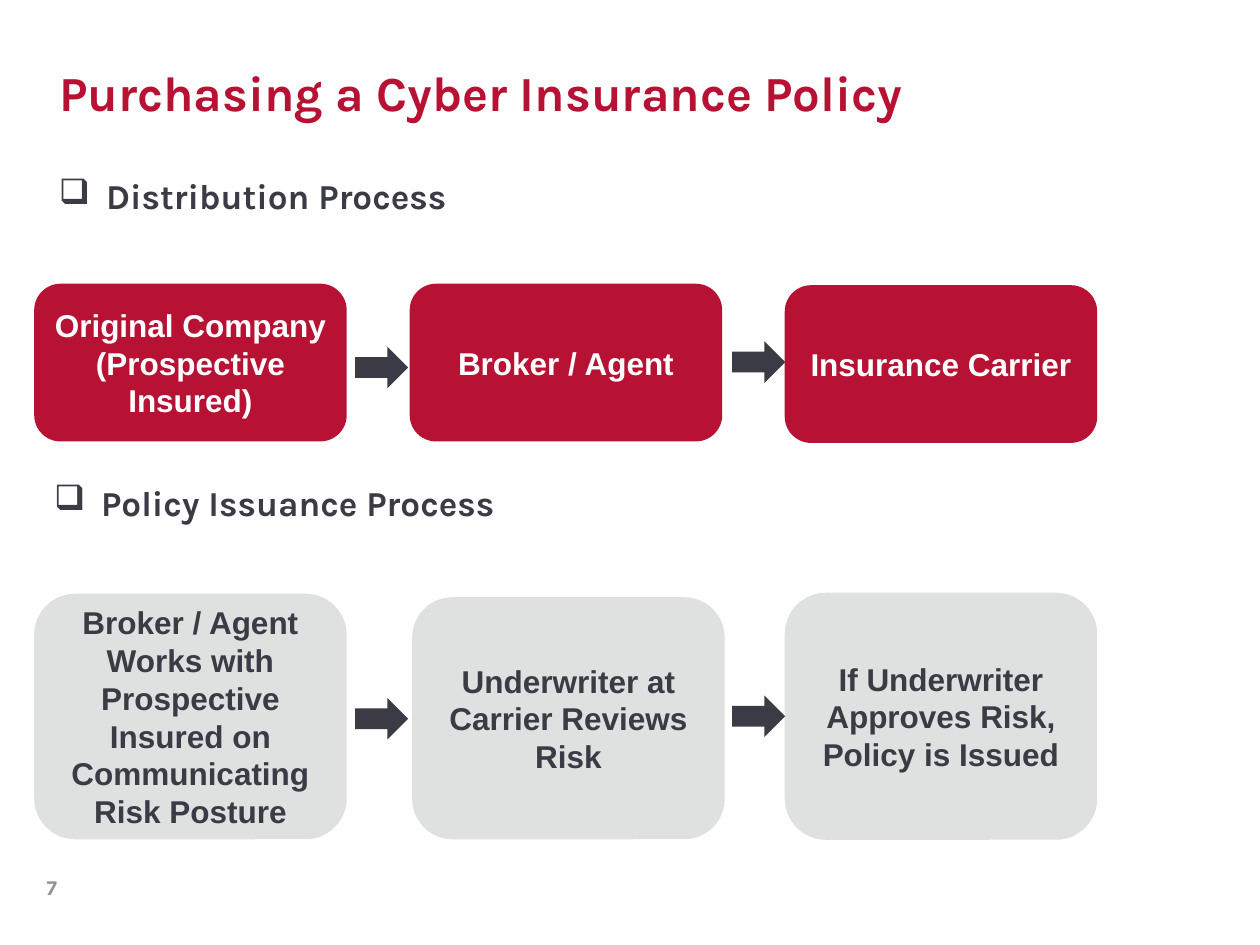
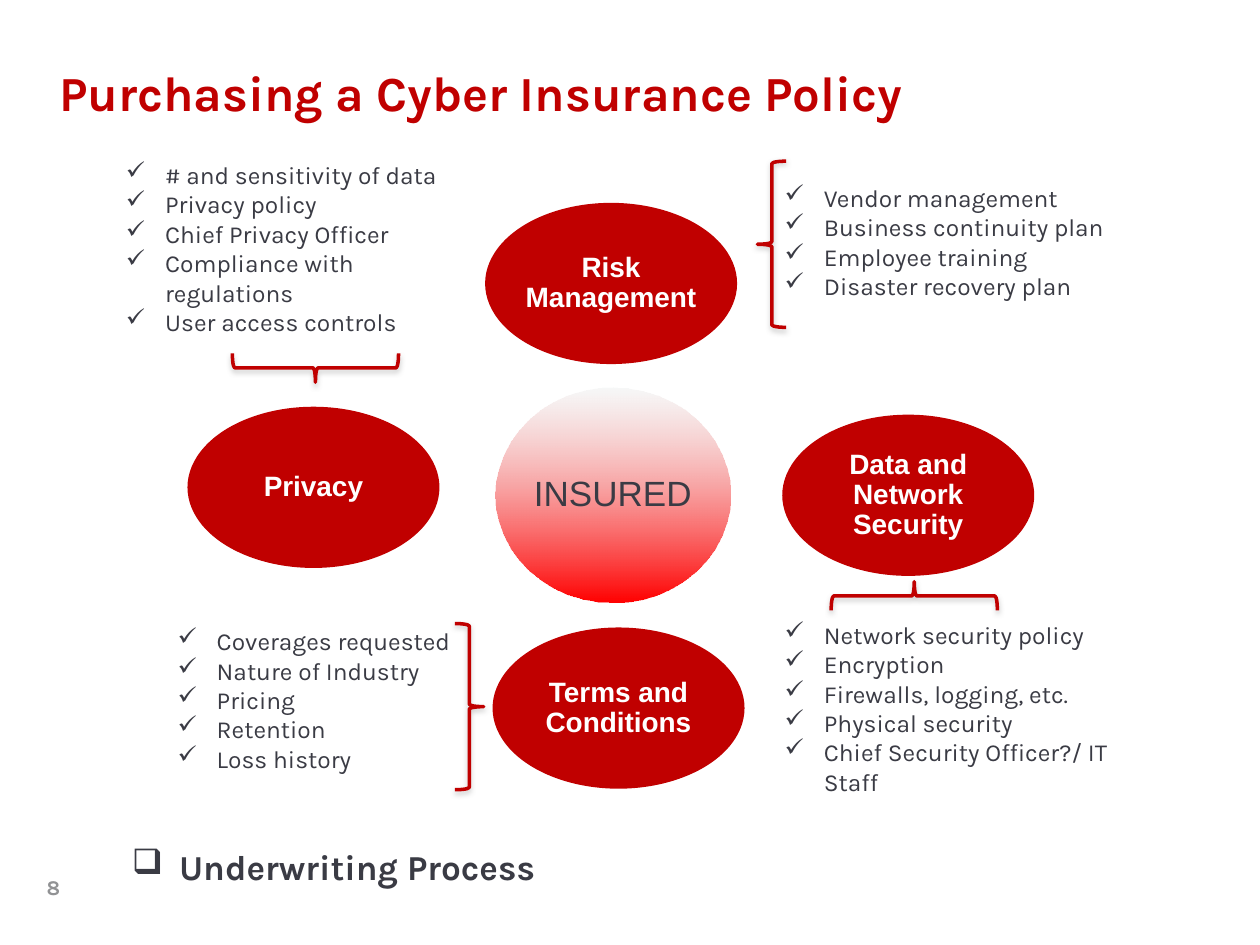
"""Build two slides on how a cyber insurance policy is purchased."""
from lxml.etree import SubElement
from pptx import Presentation
from pptx.dml.color import RGBColor
from pptx.enum.shapes import MSO_SHAPE
from pptx.enum.text import MSO_ANCHOR, PP_ALIGN
from pptx.oxml.ns import qn
from pptx.util import Cm, Pt

CRIMSON = RGBColor(0xB7, 0x12, 0x34)
RED = RGBColor(0xC0, 0x00, 0x00)
BRIGHT_RED = RGBColor(0xFF, 0x00, 0x00)
CHARCOAL = RGBColor(0x3A, 0x3B, 0x44)
GREY = RGBColor(0x91, 0x92, 0x94)
LIGHT_GREY = RGBColor(0xDF, 0xE0, 0xE0)
PALE_GREY = RGBColor(0xEF, 0xF1, 0xF1)
WHITE = RGBColor(0xFF, 0xFF, 0xFF)

TITLE_FONT = {"name": "Karla", "size": Pt(28), "bold": True}
HEADING_FONT = {"name": "Karla", "size": Pt(20), "bold": True}
NUMBER_FONT = {"name": "Karla", "size": Pt(12), "bold": True}
LIST_FONT = {"name": "Karla", "size": Pt(14), "bold": False}
STEP_FONT = {"name": "Arial", "size": Pt(18), "bold": True}
TOPIC_FONT = {"name": "Arial", "size": Pt(16), "bold": True}
INSURED_FONT = {"name": "Arial", "size": Pt(20), "bold": False}
MARGINS = ("margin_left", "margin_right", "margin_top", "margin_bottom")


def write(shape, lines, font, color, bullet=None, indent=0, **paragraph_format):
    """Fill a shape with formatted paragraphs."""
    frame = shape.text_frame
    frame.word_wrap = True
    frame.text = "\n".join(lines)
    for paragraph in frame.paragraphs:
        if bullet:
            properties = paragraph._p.get_or_add_pPr()
            properties.set("marL", str(Cm(indent)))
            properties.set("indent", str(-Cm(indent)))
            SubElement(properties, qn("a:buChar")).set("char", bullet)
        for name, value in paragraph_format.items():
            setattr(paragraph, name, value)
        for run in paragraph.runs:
            for name, value in font.items():
                setattr(run.font, name, value)
            run.font.color.rgb = color


def add_plain(slide, kind, left, top, width, height, fill=None):
    """Add a preset shape without outline or shadow."""
    shape = slide.shapes.add_shape(kind, Cm(left), Cm(top), Cm(width), Cm(height))
    shape.shadow.inherit = False
    shape.line.fill.background()
    if fill is None:
        shape.fill.background()
    else:
        shape.fill.solid()
        shape.fill.fore_color.rgb = fill
    return shape


presentation = Presentation()
presentation.slide_width, presentation.slide_height = Cm(25.4), Cm(19.05)

pages = [
    ("7", CRIMSON, [("Distribution Process", 0.94, 3.4),
                    ("Policy Issuance Process", 0.84, 9.58)]),
    ("8", RED, [("Underwriting Process", 2.41, 16.92)]),
]
slides = []
for number, title_color, headings in pages:
    slide = presentation.slides.add_slide(presentation.slide_layouts[5])
    slides.append(slide)
    title = slide.shapes.title
    title.left, title.top, title.width, title.height = Cm(0.94), Cm(0.5), Cm(22.86), Cm(2.08)
    title.text_frame.vertical_anchor = MSO_ANCHOR.BOTTOM
    write(title, ["Purchasing a Cyber Insurance Policy"], TITLE_FONT, title_color,
          alignment=PP_ALIGN.LEFT, line_spacing=0.9)
    number_box = slide.shapes.add_textbox(Cm(0.69), Cm(17.5), Cm(2.44), Cm(0.76))
    write(number_box, [number], NUMBER_FONT, GREY)
    for text, left, top in headings:
        heading = slide.shapes.add_textbox(Cm(left), Cm(top), Cm(22.86), Cm(1.2))
        write(heading, [text], HEADING_FONT, CHARCOAL, "❑", 0.95)

process_slide, underwriting_slide = slides

steps = [
    ("Original Company (Prospective Insured)", 0.69, 5.72, 3.18, CRIMSON, WHITE),
    ("Broker / Agent", 8.26, 5.72, 3.18, CRIMSON, WHITE),
    ("Insurance Carrier", 15.82, 5.75, 3.18, CRIMSON, WHITE),
    ("Broker / Agent Works with Prospective Insured on Communicating Risk Posture",
     0.69, 11.97, 4.95, LIGHT_GREY, CHARCOAL),
    ("Underwriter at Carrier Reviews Risk", 8.31, 12.04, 4.88, LIGHT_GREY, CHARCOAL),
    ("If Underwriter Approves Risk, Policy is Issued",
     15.82, 11.95, 4.98, LIGHT_GREY, CHARCOAL),
]
for text, left, top, height, fill, color in steps:
    step = add_plain(process_slide, MSO_SHAPE.ROUNDED_RECTANGLE, left, top, 6.3, height, fill)
    step.text_frame.vertical_anchor = MSO_ANCHOR.MIDDLE
    write(step, [text], STEP_FONT, color, alignment=PP_ALIGN.CENTER)

for left, top in [(7.16, 6.99), (14.76, 6.88), (7.16, 14.07), (14.76, 14.02)]:
    add_plain(process_slide, MSO_SHAPE.RIGHT_ARROW, left, top, 1.07, 0.84, CHARCOAL)

topics = [
    ("INSURED", 9.98, 7.82, 4.75, 4.32, INSURED_FONT, CHARCOAL),
    ("Risk Management", 9.78, 4.09, 5.08, 3.25, TOPIC_FONT, WHITE),
    ("Data and Network Security", 15.77, 8.36, 5.08, 3.25, TOPIC_FONT, WHITE),
    ("Terms and Conditions", 9.93, 12.65, 5.08, 3.25, TOPIC_FONT, WHITE),
    ("Privacy", 3.78, 8.2, 5.08, 3.25, TOPIC_FONT, WHITE),
]
for text, left, top, width, height, font, color in topics:
    topic = add_plain(underwriting_slide, MSO_SHAPE.OVAL, left, top, width, height, RED)
    topic.text_frame.vertical_anchor = MSO_ANCHOR.MIDDLE
    for margin in MARGINS:
        setattr(topic.text_frame, margin, Cm(0.05))
    write(topic, [text], font, color, alignment=PP_ALIGN.CENTER, line_spacing=0.9)
    if text == "INSURED":
        topic.fill.gradient()
        topic.fill.gradient_angle = 90
        for stop, position, stop_color in zip(topic.fill.gradient_stops, (0, 1),
                                              (BRIGHT_RED, PALE_GREY)):
            stop.position = position
            stop.color.rgb = stop_color
        pale_stop = list(topic._element.spPr.iter(qn("a:srgbClr")))[-1]
        SubElement(pale_stop, qn("a:alpha")).set("val", "50000")

braces = [(15.27, 3.25, 0), (9.17, 12.57, 180), (18.14, 10.34, 90), (6.07, 5.74, 270)]
for left, top, rotation in braces:
    brace = add_plain(underwriting_slide, MSO_SHAPE.LEFT_BRACE, left, top, 0.58, 3.35)
    brace.rotation = rotation
    brace.line.color.rgb = RED
    brace.line.width = Pt(2)
    effects = brace._element.spPr.find(qn("a:effectLst"))
    shadow = SubElement(effects, qn("a:outerShdw"), blurRad=str(Pt(3.1)), dist=str(Pt(1.6)),
                        dir="5400000", rotWithShape="0")
    shadow_color = SubElement(shadow, qn("a:srgbClr"), val="808080")
    SubElement(shadow_color, qn("a:alpha"), val="38000")

checklists = [
    (2.29, 3.1, 7.47, 3.25, ["# and sensitivity of data", "Privacy policy",
                             "Chief Privacy Officer", "Compliance with regulations",
                             "User access controls"]),
    (15.57, 3.56, 8.18, 2.64, ["Vendor management", "Business continuity plan",
                               "Employee training", "Disaster recovery plan"]),
    (3.33, 12.5, 6.05, 3.25, ["Coverages requested", "Nature of Industry", "Pricing",
                              "Retention", "Loss history"]),
    (15.57, 12.37, 8.18, 3.25, ["Network security policy", "Encryption",
                                "Firewalls, logging, etc.", "Physical security",
                                "Chief Security Officer?/ IT Staff"]),
]
for left, top, width, height, items in checklists:
    checklist = underwriting_slide.shapes.add_textbox(Cm(left), Cm(top), Cm(width), Cm(height))
    write(checklist, items, LIST_FONT, CHARCOAL, "✓", 0.79)

presentation.save("out.pptx")
